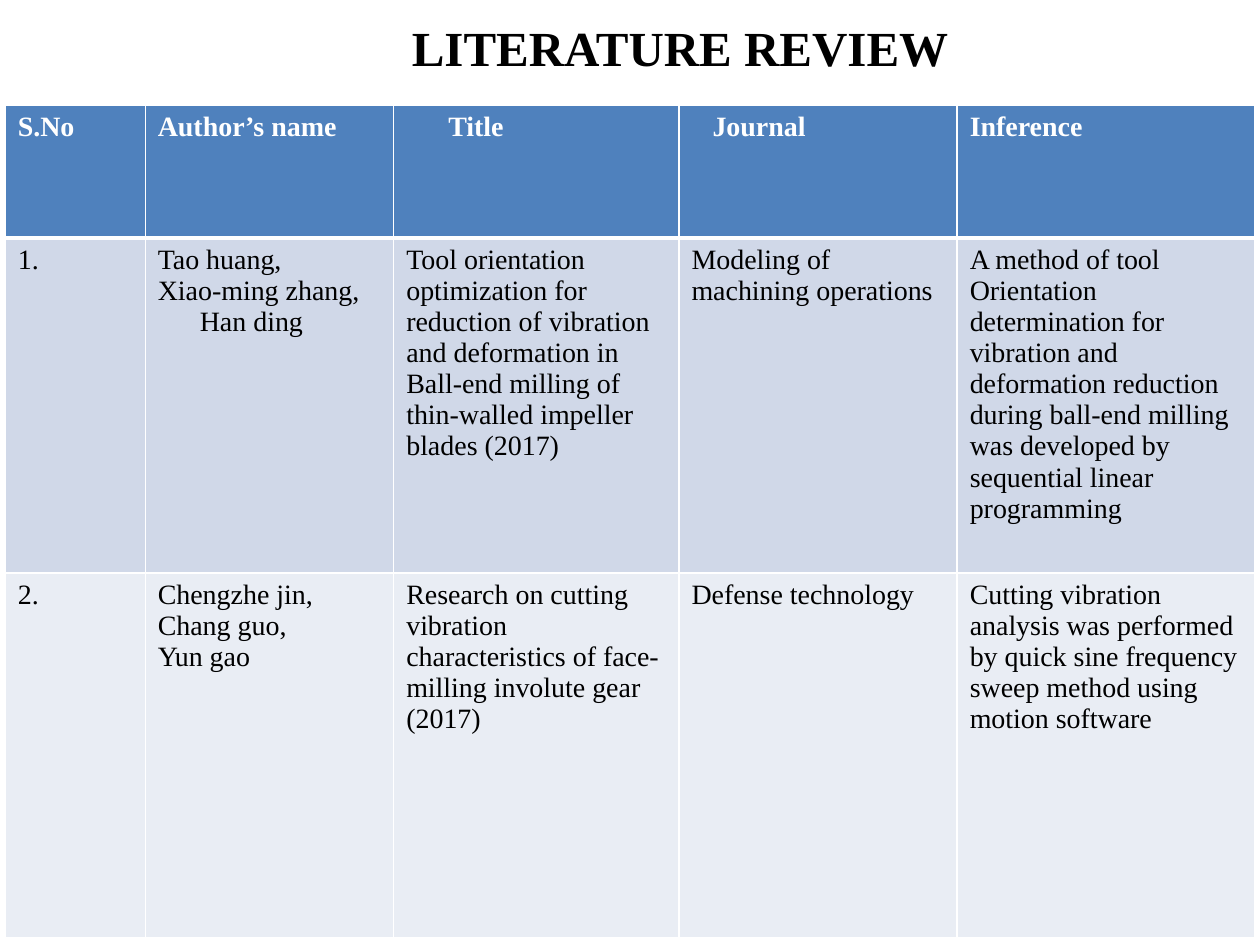
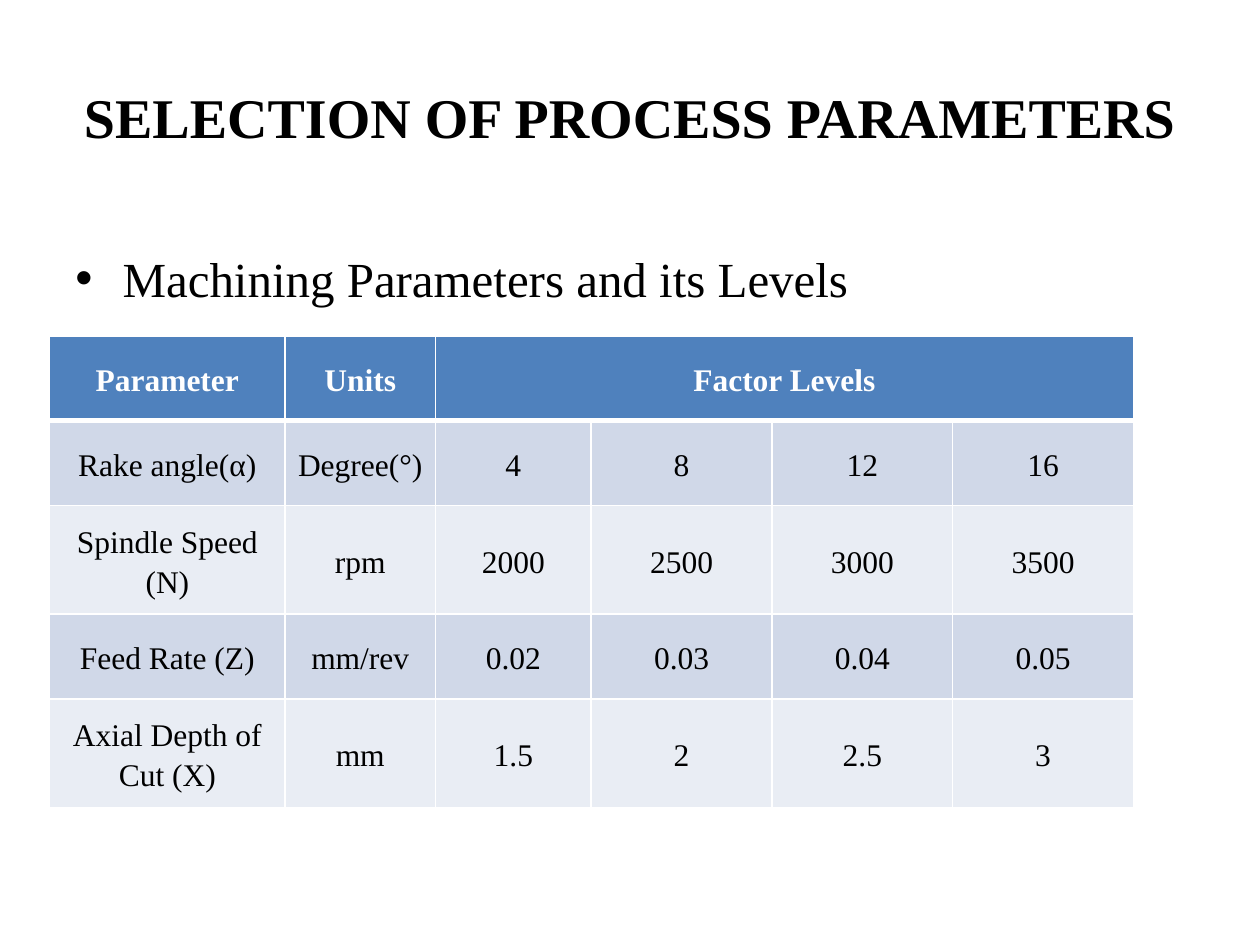
from dataclasses import dataclass

from lxml.etree import SubElement
from pptx import Presentation
from pptx.dml.color import RGBColor
from pptx.enum.text import MSO_ANCHOR, PP_ALIGN
from pptx.oxml import parse_xml
from pptx.oxml.ns import nsdecls, qn
from pptx.util import Pt


@dataclass(frozen=True)
class Theme:
    font: str = "Times New Roman"
    ink: str = "000000"
    paper: str = "FFFFFF"
    header: str = "4F81BD"
    bands: tuple = ("D0D8E8", "E9EDF4")
    review_title_size: int = 28
    title_size: int = 32
    body_size: int = 28
    review_size: int = 16
    levels_size: int = 18
    border: int = 1
    header_rule: int = 3


theme = Theme()


def write(frame, text, size, color=theme.ink, bold=False, align=PP_ALIGN.LEFT,
          spacing=None, indents=()):
    """Set the text of a frame; indents pairs with its paragraphs."""
    frame.text = text
    frame.word_wrap = True
    for paragraph in frame.paragraphs:
        paragraph.alignment = align
        if spacing:
            paragraph.line_spacing = spacing
        for span in paragraph.runs:
            span.font.name = theme.font
            span.font.size = Pt(size)
            span.font.bold = bold
            span.font.color.rgb = RGBColor.from_string(color)
    for paragraph, indent in zip(frame.paragraphs, indents):
        paragraph._p.get_or_add_pPr().set("marL", str(Pt(indent)))


def add_banded_table(page, left, top, widths, heights, rows, size, indents=None,
                     centred=False):
    """Add a table with a blue header row and two alternating row tints."""
    table = page.shapes.add_table(len(rows), len(widths), Pt(left), Pt(top),
                                  Pt(sum(widths)), Pt(sum(heights))).table
    for column, width in zip(table.columns, widths):
        column.width = Pt(width)
    for row, height in zip(table.rows, heights):
        row.height = Pt(height)

    for r, values in enumerate(rows):
        is_header = r == 0
        fill = theme.header if is_header else theme.bands[(r - 1) % 2]
        for c in range(len(widths)):
            cell = table.cell(r, c)
            cell.fill.solid()
            cell.fill.fore_color.rgb = RGBColor.from_string(fill)
            if centred:
                cell.vertical_anchor = MSO_ANCHOR.MIDDLE
                cell.margin_left = cell.margin_right = Pt(5)
                cell.margin_top = cell.margin_bottom = Pt(0)
            if c < len(values):
                write(cell.text_frame, values[c], size,
                      color=theme.paper if is_header else theme.ink,
                      bold=is_header,
                      align=PP_ALIGN.CENTER if centred else PP_ALIGN.LEFT,
                      spacing=1.15 if centred else None,
                      indents=(indents or {}).get((r, c), ()))

            # White cell borders, with a thicker rule under the header
            for place, side in enumerate("LRTB"):
                under_header = (r, side) in ((0, "B"), (1, "T"))
                weight = theme.header_rule if under_header else theme.border
                cell._tc.get_or_add_tcPr().insert(place, parse_xml(
                    f'<a:ln{side} {nsdecls("a")} w="{Pt(weight)}"><a:solidFill>'
                    f'<a:srgbClr val="{theme.paper}"/></a:solidFill></a:ln{side}>'))
    return table


deck = Presentation()
deck.slide_width, deck.slide_height = Pt(720), Pt(540)
blank = deck.slide_layouts[6]

# Slide 1: literature review
page = deck.slides.add_slide(blank)
review_rows = [
    ["S.No", "Author’s name", "Title", "Journal", "Inference"],
    ["1.",
     "Tao huang,\nXiao-ming zhang,\nHan ding",
     "Tool orientation optimization for reduction of vibration and deformation in\n"
     "Ball-end milling of thin-walled impeller blades (2017)",
     "Modeling of machining operations",
     "A method of tool\nOrientation determination for vibration and deformation "
     "reduction during ball-end milling was developed by sequential linear "
     "programming"],
    ["2.",
     "Chengzhe jin, Chang guo,\nYun gao",
     "Research on cutting vibration characteristics of face-milling involute gear "
     "(2017)",
     "Defense technology",
     "Cutting vibration analysis was performed by quick sine frequency sweep "
     "method using motion software"],
]
add_banded_table(page, 3, 60, [80, 142, 163, 159, 170], [76, 191.5, 208.5],
                 review_rows, theme.review_size,
                 indents={(0, 2): [24], (0, 3): [12], (1, 1): [0, 0, 24]})
box = page.shapes.add_textbox(Pt(150), Pt(6.5), Pt(456), Pt(41))
write(box.text_frame, "LITERATURE REVIEW", theme.review_title_size, bold=True,
      align=PP_ALIGN.CENTER, indents=[21])

# Slide 2: process parameters
page = deck.slides.add_slide(blank)
box = page.shapes.add_textbox(Pt(0), Pt(21.6), Pt(720), Pt(90))
box.text_frame.vertical_anchor = MSO_ANCHOR.MIDDLE
write(box.text_frame, "SELECTION OF PROCESS PARAMETERS", theme.title_size,
      bold=True, align=PP_ALIGN.CENTER)

# Bulleted lead-in
box = page.shapes.add_textbox(Pt(36), Pt(96), Pt(648), Pt(386.5))
box.text_frame.margin_top = Pt(46)
write(box.text_frame, "Machining Parameters and its Levels", theme.body_size,
      indents=[27])
properties = box.text_frame.paragraphs[0]._p.get_or_add_pPr()
properties.set("indent", str(-Pt(27)))
SubElement(properties, qn("a:buFont"), typeface="Arial")
SubElement(properties, qn("a:buChar"), char="•")

# Factor levels
level_rows = [
    ["Parameter", "Units", "Factor Levels"],
    ["Rake angle(α)", "Degree(°)", "4", "8", "12", "16"],
    ["Spindle Speed (N)", "rpm", "2000", "2500", "3000", "3500"],
    ["Feed Rate (Z)", "mm/rev", "0.02", "0.03", "0.04", "0.05"],
    ["Axial Depth of Cut (X)", "mm", "1.5", "2", "2.5", "3"],
]
levels = add_banded_table(page, 28.4, 192.4, [134.5, 86, 89, 103.3, 103.3, 103.3],
                          [48, 48.5, 62, 48.5, 62.5], level_rows,
                          theme.levels_size, centred=True)
levels.cell(0, 2).merge(levels.cell(0, 5))

deck.save("out.pptx")
